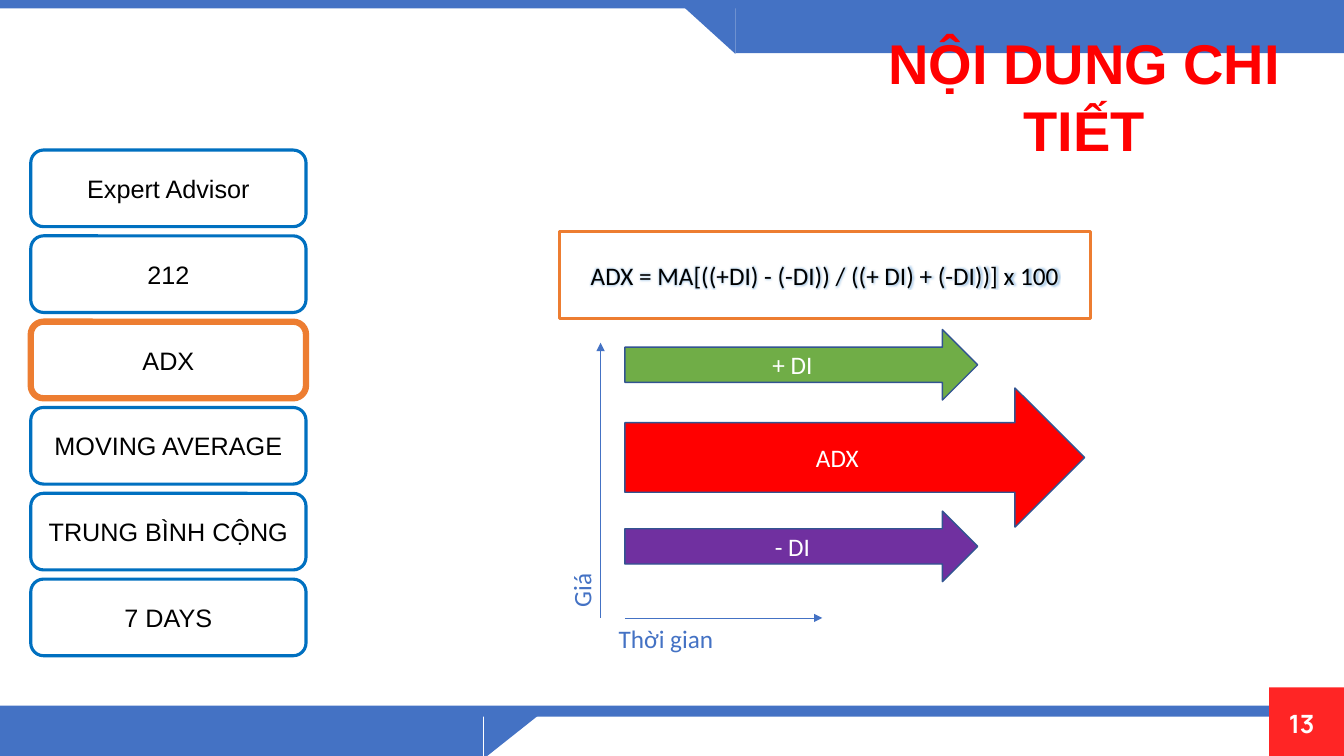
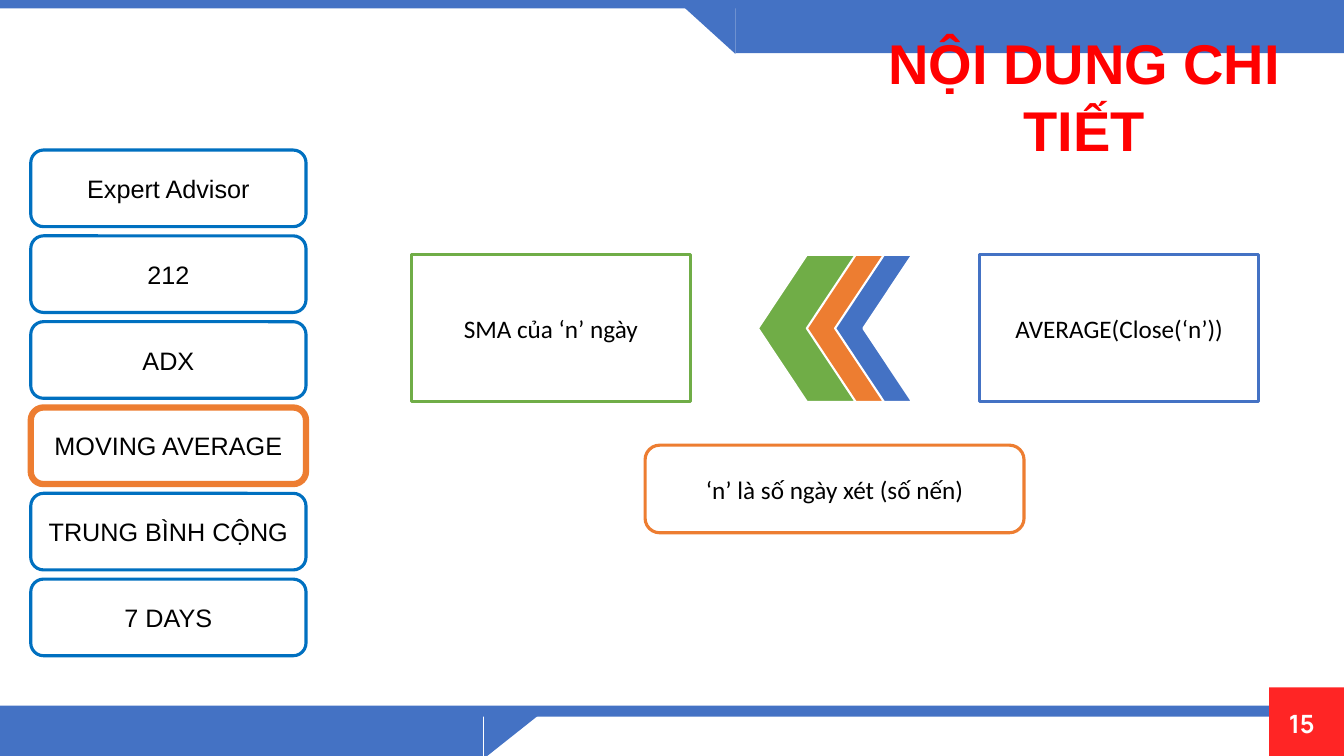
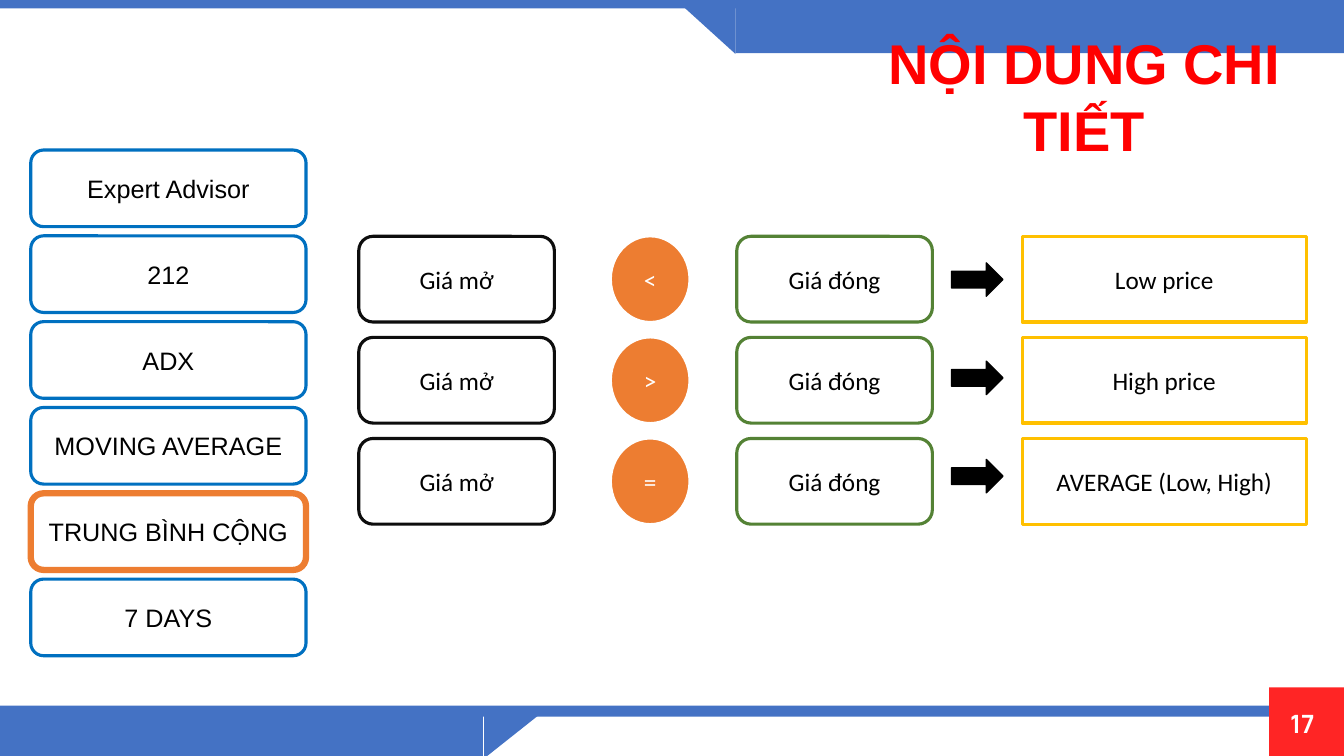
from lxml import etree
from pptx import Presentation
from pptx.dml.color import RGBColor
from pptx.enum import shapes, text
from pptx.oxml import ns
from pptx.util import Pt

KIND = shapes.MSO_SHAPE
MID = text.MSO_ANCHOR.MIDDLE
LEFT, MIDDLE, RIGHT = (text.PP_ALIGN.LEFT, text.PP_ALIGN.CENTER,
                       text.PP_ALIGN.RIGHT)
WIDE, HIGH = 960, 540
BLUE, ORANGE, GREEN, PURPLE = "4472C4", "ED7D31", "70AD47", "7030A0"
RED, WHITE, BLACK = "FF0000", "FFFFFF", "000000"
MENU = ["Expert Advisor", "212", "ADX", "MOVING AVERAGE",
        "TRUNG BÌNH CỘNG", "7 DAYS"]


def color(code):
    return RGBColor.from_string(code)


def add_xml(node, tag, **attrs):
    return etree.SubElement(node, ns.qn(tag), attrs)


def write(frame, words, size=18, font="Calibri", ink=BLACK, bold=False,
          align=MIDDLE):
    """Fill a text frame with one paragraph and return it."""
    para = frame.paragraphs[0]
    para.text = words
    para.alignment = align
    para.font.size = Pt(size)
    para.font.name = font
    para.font.bold = bold
    para.font.color.rgb = color(ink)
    return para


def shape(slide, kind, x, y, w, h, fill=WHITE, line=None, width=2.25,
          words="", turn=0, **style):
    item = slide.shapes.add_shape(kind, Pt(x), Pt(y), Pt(w), Pt(h))
    item.shadow.inherit = False
    item.rotation = turn
    item.fill.solid()
    item.fill.fore_color.rgb = color(fill)
    if line:
        item.line.color.rgb = color(line)
        item.line.width = Pt(width)
    else:
        item.line.fill.background()
    if words:
        item.text_frame.vertical_anchor = MID
        write(item.text_frame, words, **style)
    return item


def label(slide, x, y, w, h, words, wrap=True, turn=0, **style):
    box = slide.shapes.add_textbox(Pt(x), Pt(y), Pt(w), Pt(h))
    box.rotation = turn
    box.text_frame.word_wrap = wrap
    write(box.text_frame, words, **style)
    return box


def axis(slide, x, y, to_x, to_y):
    """Draw a thin line with an arrowhead at its end."""
    line = slide.shapes.add_connector(shapes.MSO_CONNECTOR.STRAIGHT,
                                      Pt(x), Pt(y), Pt(to_x), Pt(to_y))
    line.line.color.rgb = color(BLUE)
    line.line.width = Pt(0.5)
    add_xml(line.line._get_or_add_ln(), "a:tailEnd", type="triangle")
    add_xml(line._element.spPr, "a:effectLst")


def header(slide):
    shape(slide, KIND.RECTANGLE, 0, 0, WIDE, 6, BLUE)
    shape(slide, KIND.RECTANGLE, 525.3, 4, WIDE - 525.3, 34, BLUE)
    shape(slide, KIND.RIGHT_TRIANGLE, 487.3, 4, 38, 34.5, BLUE, turn=180)


def footer(slide, number):
    shape(slide, KIND.RECTANGLE, 0, 504, WIDE, 8, BLUE)
    shape(slide, KIND.RECTANGLE, 0, 510.5, 345, HIGH - 510.5, BLUE)
    shape(slide, KIND.RIGHT_TRIANGLE, 350, 505, 32.5, 41, BLUE, turn=90)
    shape(slide, KIND.RECTANGLE, 906.5, 491, 53.5, HIGH - 491, "FF2525")
    box = label(slide, 912, 502.5, 27, 33, str(number), font="Manrope",
                ink=WHITE, bold=True, align=RIGHT)
    frame = box.text_frame
    frame.margin_left = frame.margin_right = frame.margin_bottom = 0
    frame.margin_top = Pt(6)
    frame.paragraphs[0].line_spacing = 0.9
    frame.paragraphs[0].space_before = Pt(10)


def menu(slide, x, y, active):
    for row, name in enumerate(MENU):
        line, width = (ORANGE, 4.5) if name == active else ("0070C0", 2.25)
        shape(slide, KIND.ROUNDED_RECTANGLE, x, y + row * 61.3, 196.6, 54.7,
              line=line, width=width, words=name, font="Arial")


def base(deck, number, active):
    """Add a slide with bands, title and menu."""
    slide = deck.slides.add_slide(deck.slide_layouts[6])
    header(slide)
    footer(slide, number)
    title = label(slide, 589, 27.4, 371, 81.4, "NỘI DUNG CHI TIẾT", size=40,
                  font="Arial", ink=RED, bold=True)
    title.text_frame.vertical_anchor = MID
    menu(slide, 22, 107.2, active)
    return slide


def glow(run):
    """Give a run a purple outline and a soft blue glow."""
    props = run.font._element
    line = add_xml(props, "a:ln", w=str(Pt(0.75)))
    fill = add_xml(line, "a:solidFill")
    add_xml(fill, "a:srgbClr", val=PURPLE)
    effects = add_xml(props, "a:effectLst")
    halo = add_xml(effects, "a:glow", rad=str(Pt(3)))
    tint = add_xml(halo, "a:srgbClr", val="5B9BD5")
    add_xml(tint, "a:alpha", val="60000")


def trend(slide, x, y):
    """Draw the ADX formula above its three arrows and two axes."""
    box = shape(slide, KIND.RECTANGLE, x + 5.6, y, 379.4, 62, line=ORANGE,
                words="ADX = MA[((+DI) - (-DI)) / ((+ DI) + (-DI))] x 100")
    glow(box.text_frame.paragraphs[0].runs[0])
    left, foot = x + 52.4, y + 275.8
    label(slide, left - 11.5, foot, 90.7, 28.8, "Thời gian", wrap=False,
          ink=BLUE, align=LEFT)
    for top, w, h, fill, words in ((69.8, 252, 50.4, GREEN, "+ DI"),
                                   (199.5, 252, 50.4, PURPLE, "- DI"),
                                   (111.5, 328.3, 99.4, RED, "ADX")):
        shape(slide, KIND.RIGHT_ARROW, left, y + top, w, h, fill, "325491", 1,
              words, ink=WHITE)
    axis(slide, left, foot, left + 141, foot)
    axis(slide, x + 35, foot, x + 35, y + 79.2)
    label(slide, x, y + 239.8, 42.5, 28.8, "Giá", wrap=False, turn=270,
          ink=BLUE, align=LEFT)


def average(slide, x, y):
    """Draw two boxes joined by chevrons, with a note below."""
    for left, line, words in ((0, GREEN, "SMA của ‘n’ ngày"),
                              (406, BLUE, "AVERAGE(Close(‘n’))")):
        shape(slide, KIND.RECTANGLE, x + left, y, 199.4, 105, line=line,
              words=words)
    for step, fill in enumerate((BLUE, ORANGE, GREEN)):
        shape(slide, KIND.CHEVRON, x + 288 - step * 20.2, y, 69.8, 105, fill,
              WHITE, 1.5, turn=180)
    shape(slide, KIND.ROUNDED_RECTANGLE, x + 167, y + 136, 270.7, 62.6,
          line=ORANGE, words="‘n’ là số ngày xét (số nến)")


def compare(slide, x, y):
    """Draw one row for each relation of open and close price."""
    card = KIND.FLOWCHART_ALTERNATE_PROCESS
    rows = (("<", "Low price"), (">", "High price"),
            ("=", "AVERAGE (Low, High)"))
    for row, (sign, result) in enumerate(rows):
        top, h = y + row * 72.2, 61.2
        shape(slide, card, x, top, 139.7, h, line="0D0D0D", words="Giá mở")
        shape(slide, KIND.OVAL, x + 180, top, 56.2, h, ORANGE, WHITE, 1.5,
              sign, ink=WHITE)
        shape(slide, card, x + 270, top, 139.7, h, line="548235",
              words="Giá đóng")
        shape(slide, KIND.RECTANGLE, x + 473.8, top, 203, h, line="FFC000",
              words=result)
        shape(slide, KIND.RIGHT_ARROW, x + 423.4, y + 19 + row * 70.2, 36.7,
              23.8, BLACK, BLACK, 1)


def main():
    deck = Presentation()
    deck.slide_width, deck.slide_height = Pt(WIDE), Pt(HIGH)
    trend(base(deck, 13, "ADX"), 394, 165.6)
    average(base(deck, 15, "MOVING AVERAGE"), 293.8, 182)
    compare(base(deck, 17, "TRUNG BÌNH CỘNG"), 256.3, 168.8)
    deck.save("out.pptx")


if __name__ == "__main__":
    main()
